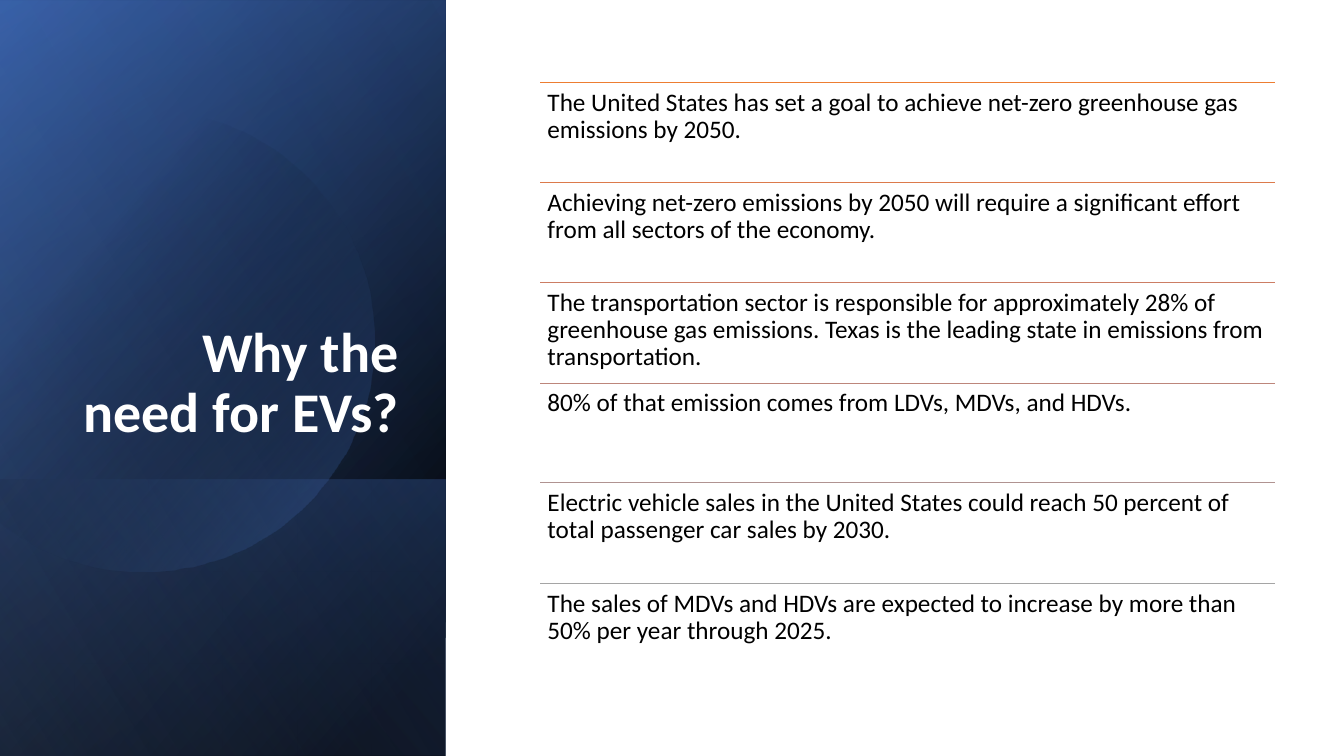
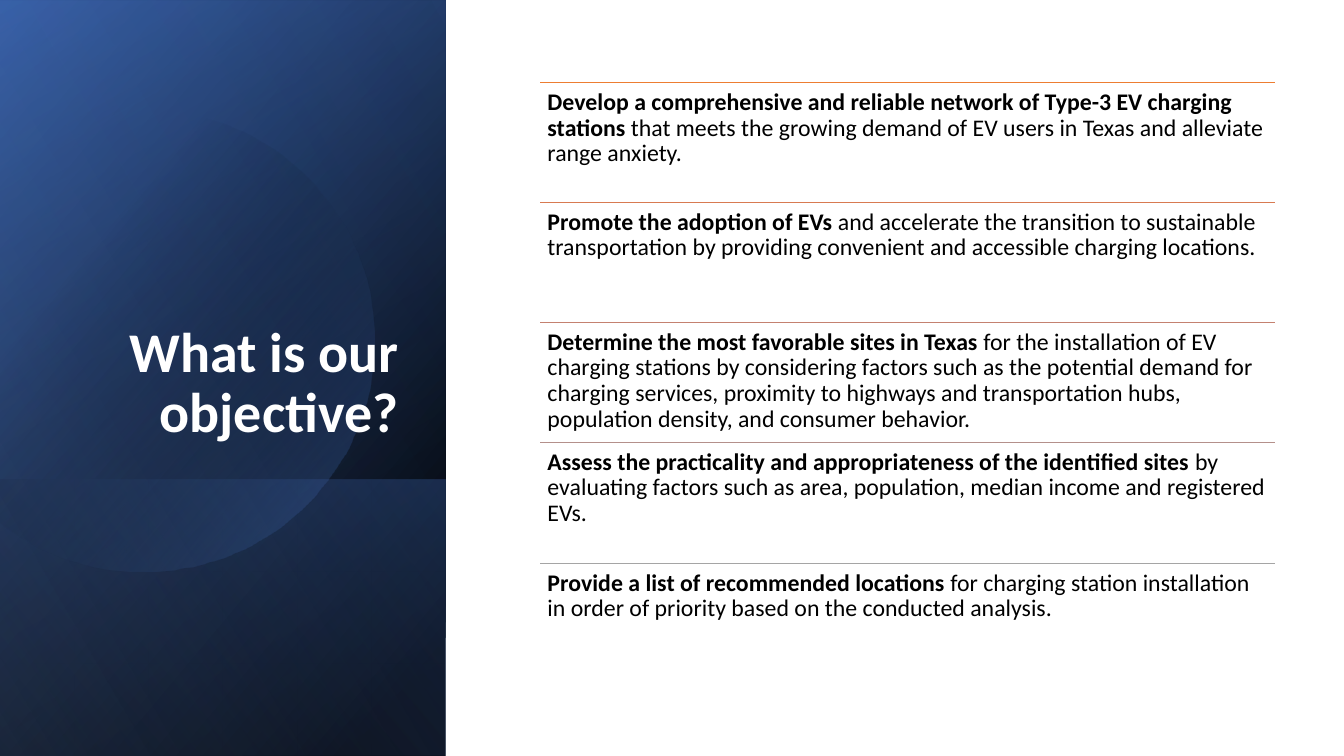
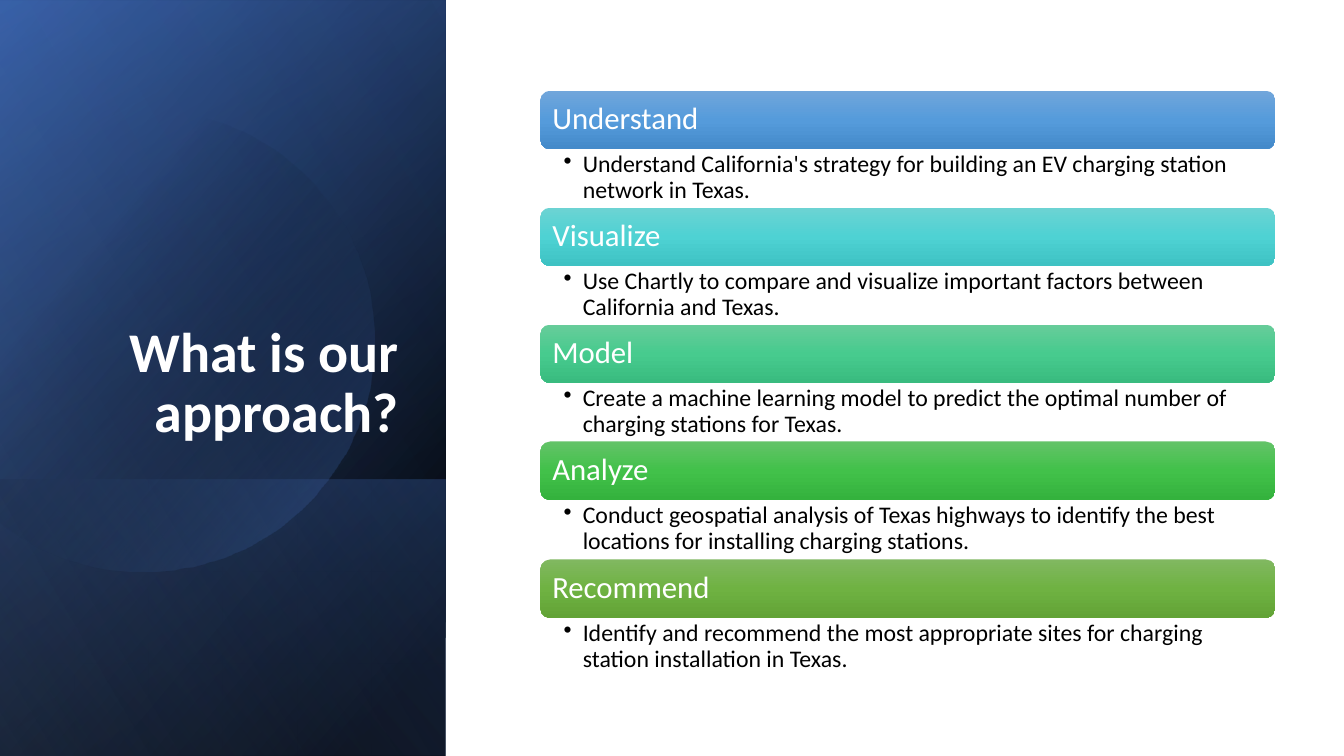
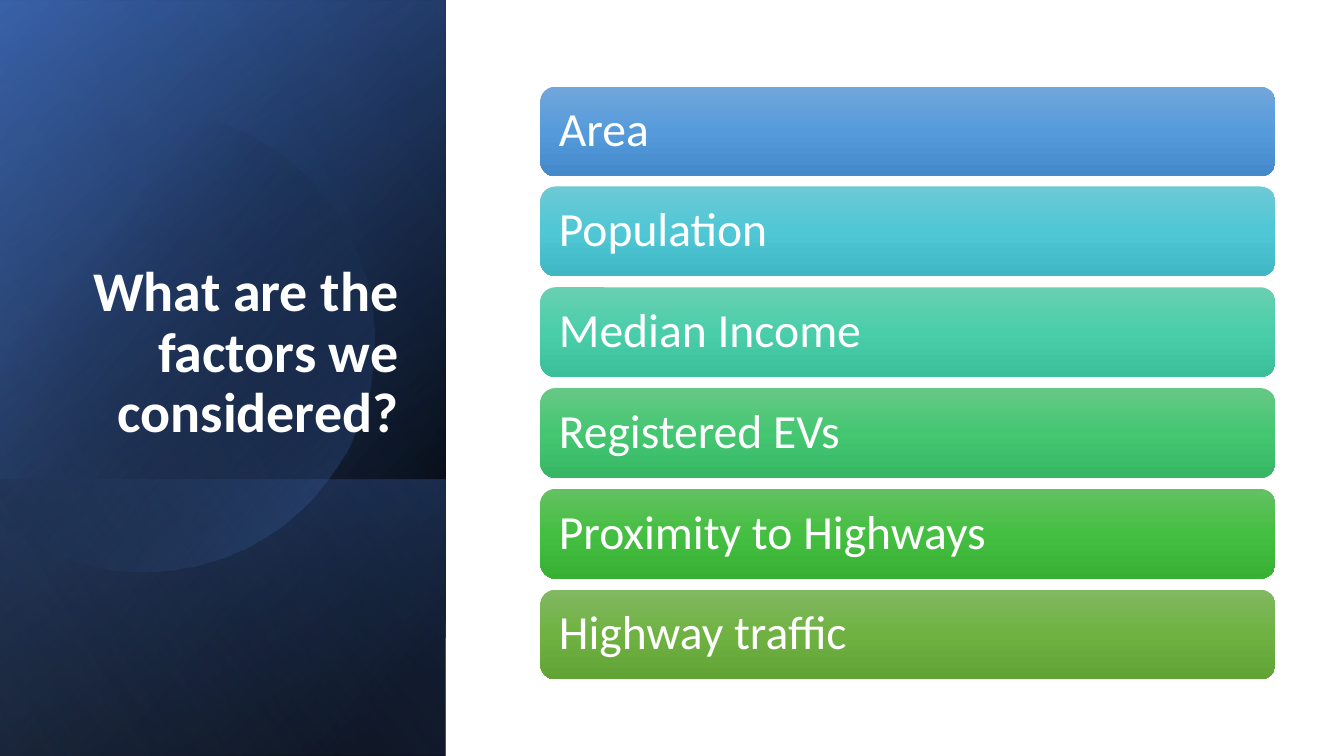
import math

from lxml import etree
from pptx import Presentation
from pptx import util as u
from pptx.dml.color import RGBColor
from pptx.enum import shapes, text
from pptx.oxml.ns import qn

PX = 9144
FONT = "Calibri"
BLACK = RGBColor(0x00, 0x00, 0x00)
WHITE = RGBColor(0xFF, 0xFF, 0xFF)
NAVY = RGBColor(0x2F, 0x55, 0x97)
BLUE = RGBColor(0x44, 0x72, 0xC4)
PALE = RGBColor(0x8F, 0xAA, 0xDC)
ORANGE = RGBColor(0xED, 0x7D, 0x31)
GRAY = RGBColor(0xA5, 0xA5, 0xA5)

SKY = (RGBColor(0x71, 0xA6, 0xDB), RGBColor(0x55, 0x9B, 0xDB), RGBColor(0x44, 0x8A, 0xCA))
CYAN = (RGBColor(0x6D, 0xCA, 0xD5), RGBColor(0x4F, 0xC7, 0xD5), RGBColor(0x3F, 0xB7, 0xC4))
AQUA = (RGBColor(0x6C, 0xD3, 0xD3), RGBColor(0x4E, 0xD2, 0xD3), RGBColor(0x3E, 0xC2, 0xC3))
MINT = (RGBColor(0x69, 0xCF, 0xB1), RGBColor(0x4A, 0xCE, 0xAA), RGBColor(0x3B, 0xBE, 0x9A))
JADE = (RGBColor(0x67, 0xCC, 0x9A), RGBColor(0x47, 0xCB, 0x8E), RGBColor(0x39, 0xBB, 0x7F))
FERN = (RGBColor(0x66, 0xC8, 0x85), RGBColor(0x45, 0xC7, 0x72), RGBColor(0x37, 0xB7, 0x64))
GREEN = (RGBColor(0x63, 0xC3, 0x68), RGBColor(0x42, 0xC1, 0x4A), RGBColor(0x34, 0xB2, 0x3D))
GRASS = (RGBColor(0x64, 0xC1, 0x62), RGBColor(0x44, 0xBF, 0x41), RGBColor(0x37, 0xB0, 0x34))
OLIVE = (RGBColor(0x81, 0xB8, 0x61), RGBColor(0x6F, 0xB2, 0x42), RGBColor(0x62, 0xA3, 0x36))

LEFT, WIDE = 536, 729
PANELS = [
    ((-154, 154, 750, 442), 50, [(8, BLACK, 100), (100, NAVY, 100)]),
    ((-154, 155, 750, 442), 30, [(0, BLACK, 0), (99, BLUE, 46)]),
    ((84, 392, 274, 442), 130, [(2, BLUE, 29), (100, BLACK, 30)]),
]
SHEEN = ((-154, 154, 750, 442), 120, [(0, BLACK, 0), (99, PALE, 11)])

NEEDS = [
    (ORANGE, "The United States has set a goal to achieve net-zero greenhouse gas emissions by 2050."),
    (RGBColor(0xDC, 0x7A, 0x4B), "Achieving net-zero emissions by 2050 will require a significant effort from all sectors of the economy."),
    (RGBColor(0xCC, 0x7D, 0x64), "The transportation sector is responsible for approximately 28% of greenhouse gas emissions. Texas is the leading state in emissions from transportation."),
    (RGBColor(0xBD, 0x86, 0x7B), "80% of that emission comes from LDVs, MDVs, and HDVs."),
    (RGBColor(0xB0, 0x93, 0x91), "Electric vehicle sales in the United States could reach 50 percent of total passenger car sales by 2030."),
    (GRAY, "The sales of MDVs and HDVs are expected to increase by more than 50% per year through 2025."),
]
GOALS = [
    (ORANGE, "Develop a comprehensive and reliable network of Type-3 EV charging stations", " that meets the growing demand of EV users in Texas and alleviate range anxiety."),
    (RGBColor(0xD8, 0x7A, 0x51), "Promote the adoption of EVs", " and accelerate the transition to sustainable transportation by providing convenient and accessible charging locations."),
    (RGBColor(0xC4, 0x81, 0x70), "Determine the most favorable sites in Texas", " for the installation of EV charging stations by considering factors such as the potential demand for charging services, proximity to highways and transportation hubs, population density, and consumer behavior."),
    (RGBColor(0xB4, 0x90, 0x8B), "Assess the practicality and appropriateness of the identified sites ", "by evaluating factors such as area, population, median income and registered EVs."),
    (GRAY, "Provide a list of recommended locations ", "for charging station installation in order of priority based on the conducted analysis."),
]
STEPS = [
    (SKY, "Understand", "Understand California's strategy for building an EV charging station network in Texas."),
    (AQUA, "Visualize", "Use Chartly to compare and visualize important factors between California and Texas."),
    (JADE, "Model", "Create a machine learning model to predict the optimal number of charging stations for Texas."),
    (GREEN, "Analyze", "Conduct geospatial analysis of Texas highways to identify the best locations for installing charging stations."),
    (OLIVE, "Recommend", "Identify and recommend the most appropriate sites for charging station installation in Texas."),
]
FACTORS = [
    (SKY, "Area"),
    (CYAN, "Population"),
    (MINT, "Median Income"),
    (FERN, "Registered EVs"),
    (GRASS, "Proximity to Highways"),
    (OLIVE, "Highway traffic"),
]


def spread(first, last, items):
    """Pair each item with its top, evenly spaced from first to last."""
    for i, item in enumerate(items):
        yield first + (last - first) * i // (len(items) - 1), item


class Deck:
    """Hold the shared style and the current slide."""

    def __init__(self):
        """Start an empty wide presentation."""
        self.prs = Presentation()
        self.prs.slide_width, self.prs.slide_height = u.Inches(13.33), u.Inches(7.5)
        self.slide = None

    def page(self, title):
        """Add a slide with the blue side panel and its title."""
        self.slide = self.prs.slides.add_slide(self.prs.slide_layouts[6])
        for panel in PANELS:
            self.panel(*panel)
        self.disc(142, 338, 229, -15)
        self.panel(*SHEEN)
        self.label((64, 184, 341, 262), [(title, True)], 40, WHITE, (10, 5, 10, 5),
                   text.MSO_ANCHOR.BOTTOM, text.PP_ALIGN.RIGHT)

    def shade(self, shape, angle, stops):
        """Fill a shape with a gradient of (position, colour, opacity) stops."""
        shape.shadow.inherit = False
        shape.line.fill.background()
        shape.fill.gradient()
        shape.fill.gradient_angle = 360 - angle
        group = shape._element.spPr.find(".//" + qn("a:gsLst"))
        for old in list(group):
            group.remove(old)
        for pos, color, alpha in stops:
            stop = etree.SubElement(group, qn("a:gs"), pos=str(pos * 1000))
            tint = etree.SubElement(stop, qn("a:srgbClr"), val=str(color))
            if alpha < 100:
                etree.SubElement(tint, qn("a:alpha"), val=str(alpha * 1000))

    def block(self, kind, box):
        """Add a preset shape."""
        return self.slide.shapes.add_shape(kind, *(n * PX for n in box))

    def panel(self, box, angle, stops):
        """Add a mirrored rectangle standing on its side."""
        shape = self.block(shapes.MSO_SHAPE.RECTANGLE, box)
        shape.rotation = 90
        shape._element.spPr.find(qn("a:xfrm")).set("flipH", "1")
        self.shade(shape, angle, stops)

    def disc(self, x, y, radius, edge):
        """Add a circle cut off by a vertical edge on its left."""
        end = math.acos((edge - x) / radius)
        turns = [end * i / 60 for i in range(-60, 61)]
        dots = [(x + radius * math.cos(t), y + radius * math.sin(t)) for t in turns]
        form = self.slide.shapes.build_freeform(*dots[0], scale=PX)
        form.add_line_segments(dots[1:], close=True)
        self.shade(form.convert_to_shape(), 40, [(29, BLACK, 0), (100, BLUE, 43)])

    def words(self, shape, runs, size, color, pads, anchor, align, bullet=False):
        """Set the text of a shape from (words, bold) runs."""
        frame = shape.text_frame
        frame.word_wrap = True
        frame.vertical_anchor = anchor
        (frame.margin_left, frame.margin_top,
         frame.margin_right, frame.margin_bottom) = (n * PX for n in pads)
        para = frame.paragraphs[0]
        if bullet:
            props = para._p.get_or_add_pPr()
            props.set("marL", str(19 * PX))
            props.set("indent", str(-19 * PX))
            etree.SubElement(props, qn("a:buChar"), char="•")
        para.alignment = align
        para.line_spacing = 0.9
        for part, bold in runs:
            run = para.add_run()
            run.text = part
            run.font.name = FONT
            run.font.size = u.Pt(size)
            run.font.bold = bold
            run.font.color.rgb = color

    def label(self, box, runs, size, color=BLACK, pads=(7, 7, 7, 7),
              anchor=text.MSO_ANCHOR.TOP, align=text.PP_ALIGN.LEFT, bullet=False):
        """Add a text box."""
        shape = self.slide.shapes.add_textbox(*(n * PX for n in box))
        self.words(shape, runs, size, color, pads, anchor, align, bullet)

    def rule(self, top, color):
        """Add a thin line across the content area."""
        line = self.slide.shapes.add_connector(
            shapes.MSO_CONNECTOR.STRAIGHT, LEFT * PX, top * PX, (LEFT + WIDE) * PX, top * PX)
        line.line.color.rgb = color
        line.line.width = u.Pt(0.5)
        etree.SubElement(line._element.spPr, qn("a:effectLst"))

    def row(self, top, high, color, runs, size):
        """Add a ruled row of text."""
        self.rule(top, color)
        self.label((LEFT, top, WIDE, high), runs, size)

    def bar(self, top, high, tones, head, size, pad):
        """Add a rounded heading bar."""
        shape = self.block(shapes.MSO_SHAPE.ROUNDED_RECTANGLE, (LEFT, top, WIDE, high))
        self.shade(shape, 90, [(50 * i, tone, 100) for i, tone in enumerate(tones)])
        self.words(shape, [(head, False)], size, WHITE, (pad,) * 4,
                   text.MSO_ANCHOR.MIDDLE, text.PP_ALIGN.LEFT)


def main():
    """Build the four slides."""
    deck = Deck()

    deck.page("Why the need for EVs?")
    for top, (color, need) in spread(82, 579, NEEDS):
        deck.row(top, 99, color, [(need, False)], 18)

    deck.page("What is our objective?")
    for top, (color, lead, rest) in spread(82, 559, GOALS):
        deck.row(top, 119, color, [(lead, True), (rest, False)], 17)

    deck.page("What is our approach?")
    for top, (tones, head, step) in spread(90, 555, STEPS):
        deck.bar(top, 58, tones, head, 22, 9)
        deck.label((LEFT, top + 58, WIDE, 59), [(step, False)], 17,
                   pads=(23, 3, 17, 3), bullet=True)

    deck.page("What are the factors we considered?")
    for top, (tones, factor) in spread(86, 585, FACTORS):
        deck.bar(top, 89, tones, factor, 34, 14)

    deck.prs.save("out.pptx")


if __name__ == "__main__":
    main()
